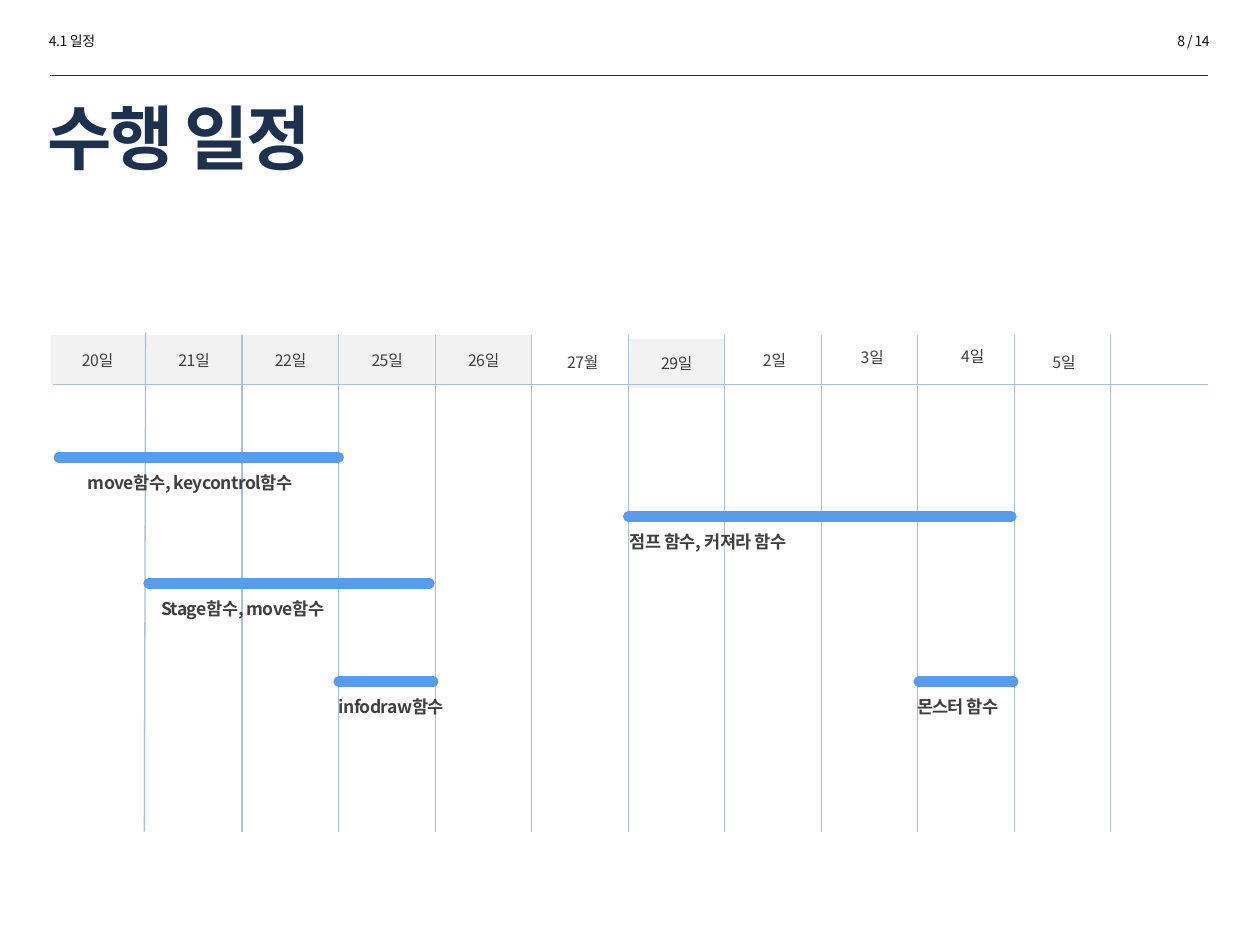
import pptx
import pptx.dml.color
import pptx.enum.shapes
import pptx.enum.text
import pptx.oxml.ns
import pptx.util
from lxml import etree

Inches = pptx.util.Inches
Align = pptx.enum.text.PP_ALIGN
Anchor = pptx.enum.text.MSO_ANCHOR
FONT = "Noto Sans CJK KR"
INK, GRID, BAR, NAVY = "404040", "A8BFDF", "569CF0", "1D314E"

deck = pptx.Presentation()
deck.slide_width, deck.slide_height = Inches(10), Inches(7.5)
slide = deck.slides.add_slide(deck.slide_layouts[6])
rgb = pptx.dml.color.RGBColor.from_string

# Day grid: eleven equal columns, header row above the schedule
LEFT, TOP, HEADER, BOTTOM, RIGHT = 0.39, 2.66, 3.05, 6.6, 9.59
DAY = (8.05 - LEFT) / 10


def write(box, text, size, color=INK, bold=False, align=Align.LEFT,
          anchor=Anchor.TOP, spacing=None, tracking=-30, wrap=True):
    """Put one line of text in a box; tracking is in hundredths of a point."""
    frame = box.text_frame
    frame.word_wrap, frame.vertical_anchor = wrap, anchor
    line = frame.paragraphs[0]
    line.alignment, line.line_spacing = align, spacing
    run = line.add_run()
    run.text = text
    style = {"size": pptx.util.Pt(size), "name": FONT, "bold": bold}
    for key, value in style.items():
        setattr(run.font, key, value)
    run.font.color.rgb = rgb(color)
    props = run.font._element
    props.set("spc", str(tracking))
    east_asian = etree.SubElement(props, pptx.oxml.ns.qn("a:ea"))
    east_asian.set("typeface", FONT)


def rule(x1, y1, x2, y2, color, width, rounded=False):
    line = slide.shapes.add_connector(pptx.enum.shapes.MSO_CONNECTOR.STRAIGHT,
                                      Inches(x1), Inches(y1), Inches(x2), Inches(y2))
    line.line.color.rgb = rgb(color)
    line.line.width = pptx.util.Pt(width)
    if rounded:
        line.line._ln.set("cap", "rnd")
    etree.SubElement(line._element.spPr, pptx.oxml.ns.qn("a:effectLst"))


# Dates: label, shift from the column line, shift from the header top, shaded
dates = [
    ("20일", 0.01, 0, True), ("21일", 0.01, 0, True), ("22일", 0.01, 0, True),
    ("25일", 0.01, 0, True), ("26일", 0.01, 0, True), ("27월", 0.03, 0.02, False),
    ("29일", 0.01, 0.03, True), ("2일", 0.02, 0, False), ("3일", 0.03, -0.02, False),
    ("4일", 0.06, -0.03, False), ("5일", 0.02, 0.02, False),
]
for column, (date, dx, dy, shaded) in enumerate(dates):
    place = [Inches(v) for v in (LEFT + column * DAY + dx, TOP + dy, 0.75, HEADER - TOP)]
    if shaded:
        cell = slide.shapes.add_shape(pptx.enum.shapes.MSO_SHAPE.RECTANGLE, *place)
        cell.shadow.inherit = False
        cell.fill.solid()
        cell.fill.fore_color.rgb = rgb("F2F2F2")
        cell.line.fill.background()
    else:
        cell = slide.shapes.add_textbox(*place)
    write(cell, date, 9, align=Align.CENTER, anchor=Anchor.MIDDLE, wrap=False)

rule(0.42, HEADER, RIGHT, HEADER, GRID, 0.5)
rule(LEFT + DAY, TOP - 0.02, LEFT + DAY - 0.01, BOTTOM, GRID, 0.75)
for column in range(2, len(dates) + 1):
    x = LEFT + column * DAY
    rule(x, TOP, x, BOTTOM, GRID, 0.75)

# Tasks: label, its left edge and width, first and last column line, height of the bar
tasks = [
    ("move함수, keycontrol함수", 0.6, 2.2, 0.1, 3, 3.63),
    ("점프 함수, 커져라 함수", 4.9, 3.06, 6, 9.97, 4.1),
    ("Stage함수, move함수", 1.18, 2.13, 1.03, 3.94, 4.63),
    ("infodraw함수", 2.59, 2, 3, 3.98, 5.41),
    ("몬스터 함수", 7.18, 1.96, 9.01, 9.99, 5.41),
]
for task, x, width, start, end, y in tasks:
    label = slide.shapes.add_textbox(Inches(x), Inches(y + 0.05), Inches(width), Inches(0.29))
    write(label, task, 10, bold=True, spacing=1.1)
    rule(LEFT + start * DAY, y, LEFT + end * DAY, y, BAR, 6, rounded=True)

# Page header and title
section = slide.shapes.add_textbox(Inches(0.29), Inches(0.21), Inches(1.73), Inches(0.24))
write(section, "4.1 일정", 8, "0D0D0D")
page = slide.shapes.add_textbox(Inches(7.96), Inches(0.21), Inches(1.74), Inches(0.24))
write(page, "8 / 14", 8, "0D0D0D", align=Align.RIGHT)
rule(0.4, 0.6, RIGHT, 0.6, "1C314E", 0.25)
title = slide.shapes.add_textbox(Inches(0.28), Inches(0.67), Inches(9.28), Inches(0.83))
write(title, "수행 일정", 40, NAVY, bold=True, anchor=Anchor.MIDDLE, tracking=-150)

deck.save("out.pptx")
